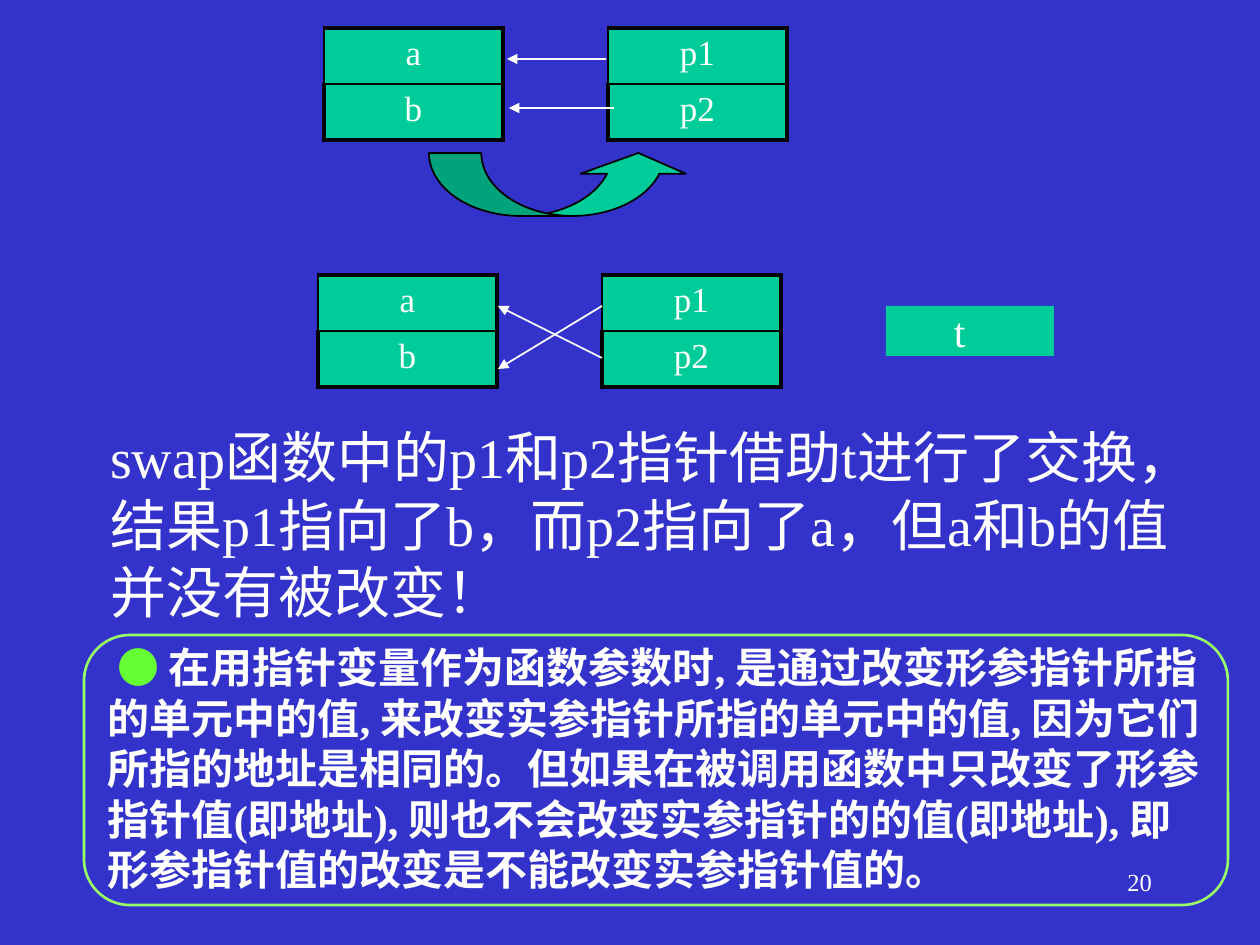
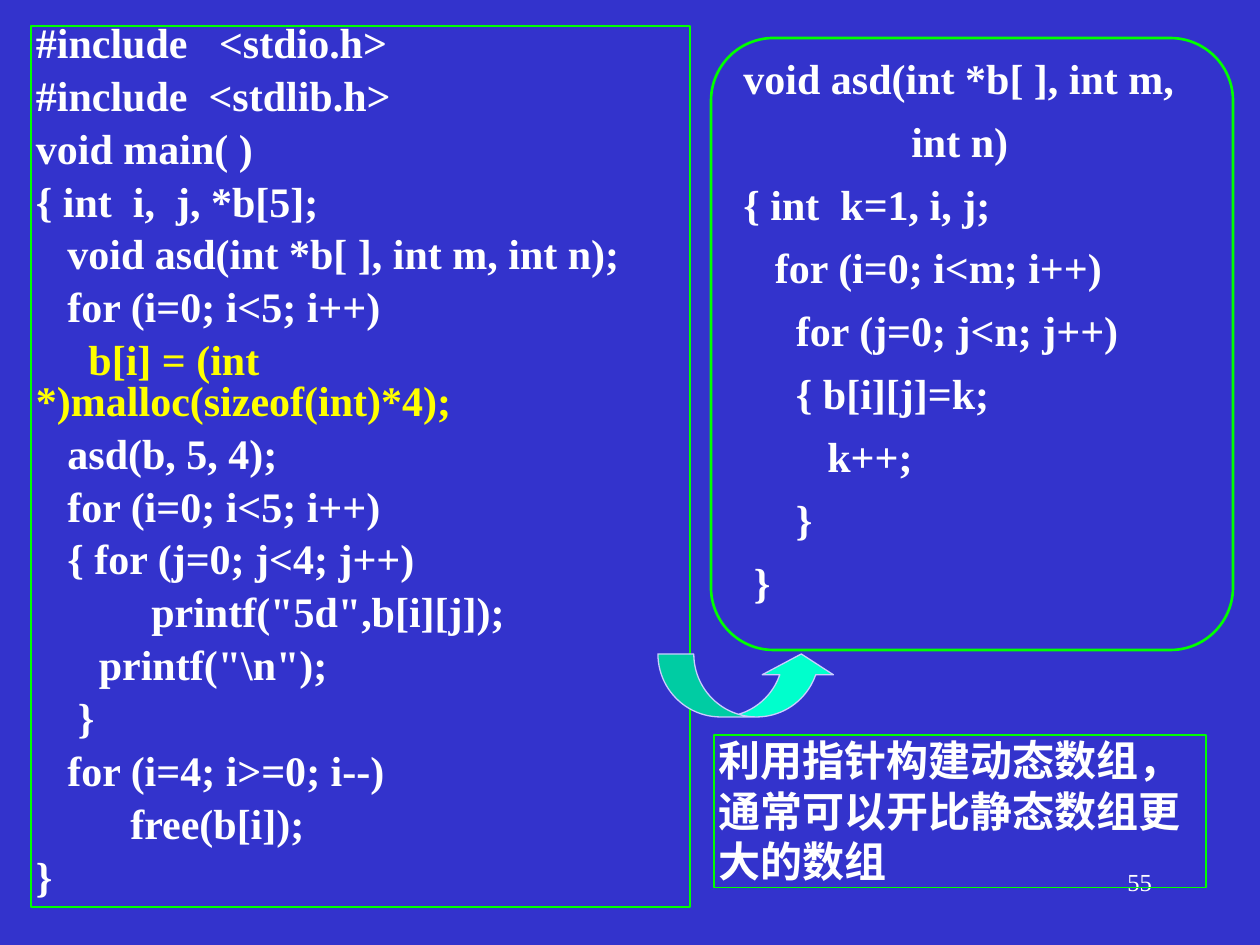
import lxml.etree
import pptx
import pptx.dml.color
import pptx.enum.shapes
import pptx.enum.text
import pptx.oxml.ns
import pptx.util

PX = 7257  # EMU in one px, 126 px to the inch
FONT = "Times New Roman"
WHITE, BLACK, YELLOW = "FFFFFF", "000000", "FFFF00"
BLUE, TEAL, GREEN = "3333CC", "00CC99", "00FF00"

Pt = pptx.util.Pt
hue = pptx.dml.color.RGBColor.from_string
qn = pptx.oxml.ns.qn
sub = lxml.etree.SubElement
kinds = pptx.enum.shapes.MSO_SHAPE
align = pptx.enum.text.PP_ALIGN


def draw(slide, kind, spot, fill=None, line=None, width=1, bends=()):
    """Add a preset shape, or a text box when kind is None."""
    spot = [n * PX for n in spot]
    if kind is None:
        return slide.shapes.add_textbox(*spot)
    shape = slide.shapes.add_shape(kind, *spot)
    shape.shadow.inherit = False
    for i, bend in enumerate(bends):
        shape.adjustments[i] = bend
    if fill:
        shape.fill.solid()
        shape.fill.fore_color.rgb = hue(fill)
    else:
        shape.fill.background()
    if line:
        shape.line.color.rgb = hue(line)
        shape.line.width = Pt(width)
    else:
        shape.line.fill.background()
    return shape


def write(frame, rows, size, bold=False, side=align.LEFT, pad=(5, 0),
          gap=0, pitch=None):
    """Fill a text frame; each row is a list of (text, colour, bold) runs or a string."""
    frame.word_wrap = True
    frame.vertical_anchor = pptx.enum.text.MSO_ANCHOR.TOP
    frame.margin_left = frame.margin_right = pad[0] * PX
    frame.margin_top = frame.margin_bottom = pad[1] * PX
    for i, row in enumerate(rows):
        para = frame.add_paragraph() if i else frame.paragraphs[0]
        para.alignment = side
        para.space_before = Pt(gap if i else 0)
        if pitch:
            para.line_spacing = pitch
        for text, tint, heavy in [(row, WHITE, bold)] if isinstance(row, str) else row:
            run = para.add_run()
            run.text = text
            run.font.name = FONT
            run.font.size = Pt(size)
            run.font.bold = heavy
            run.font.color.rgb = hue(tint)


deck = pptx.Presentation()
deck.slide_width, deck.slide_height = 1260 * PX, 945 * PX
back = deck.slide_master.background.fill
back.solid()
back.fore_color.rgb = hue(BLUE)

# Both slides, with their page numbers
swap, heap = [deck.slides.add_slide(deck.slide_layouts[6]) for _ in range(2)]
for slide, page in ((swap, "20"), (heap, "55")):
    label = draw(slide, None, (903, 861, 262, 63))
    write(label.text_frame, [page], 14, side=align.RIGHT, pad=(13, 6))

# Slide 1: variables and pointers, before and after the swap
thin, thick = 1, 2.25
edges = ({"lnL": thin, "lnR": thick, "lnT": thick, "lnB": thin},
         {"lnL": thick, "lnR": thick, "lnT": thin, "lnB": thick})
for left, top in ((324, 28), (318, 275)):
    for shift, names in ((0, ("a", "b")), (284, ("p1", "p2"))):
        spot = [n * PX for n in (left + shift, top, 179, 112)]
        table = swap.shapes.add_table(2, 1, *spot).table
        table.first_row = table.horz_banding = False
        for i, name in enumerate(names):
            cell = table.cell(i, 0)
            write(cell.text_frame, [name], 20, side=align.CENTER)
            cell.margin_left = cell.margin_right = 13 * PX
            cell.margin_top = cell.margin_bottom = 6 * PX
            props = cell._tc.get_or_add_tcPr()
            for tag, width in edges[i].items():
                edge = sub(props, qn("a:" + tag), w=str(Pt(width)))
                sub(sub(edge, qn("a:solidFill")), qn("a:srgbClr"), val=BLACK)
            cell.fill.solid()
            cell.fill.fore_color.rgb = hue(TEAL)

for ends in ((606, 59, 507, 59), (614, 108, 509, 108),
             (602, 306, 498, 369), (602, 358, 498, 306)):
    link = swap.shapes.add_connector(
        pptx.enum.shapes.MSO_CONNECTOR.STRAIGHT, *[n * PX for n in ends])
    link.line.color.rgb = hue(WHITE)
    link.line.width = Pt(1)
    props = link._element.spPr
    sub(props.find(qn("a:ln")), qn("a:tailEnd"), type="triangle")
    sub(props, qn("a:effectLst"))

draw(swap, kinds.CURVED_UP_ARROW, (429, 153, 262, 63), TEAL, BLACK, 1,
     (0.83, 1.67, 0.33))
temp = draw(swap, kinds.RECTANGLE, (886, 306, 168, 50), TEAL)
write(temp.text_frame, ["t"], 24)
temp.text_frame.margin_left = 68 * PX

result = draw(swap, None, (105, 423, 1081, 204))
write(result.text_frame, [
    "swap函数中的p1和p2指针借助t进行了交换，结果p1指向了b，"
    "而p2指向了a，但a和b的值并没有被改变！"], 32)

draw(swap, kinds.ROUNDED_RECTANGLE, (84, 635, 1144, 270), None, "99FF66", 1.5,
     (0.17,))
rule = draw(swap, None, (95, 636, 1124, 267))
write(rule.text_frame, [[
    (" ● ", "66FF33", False),
    ("在用指针变量作为函数参数时, 是通过改变形参指针所指的单元中的值, "
     "来改变实参指针所指的单元中的值, 因为它们所指的地址是相同的。"
     "但如果在被调用函数中只改变了形参指针值(即地址), "
     "则也不会改变实参指针的的值(即地址), "
     "即形参指针值的改变是不能改变实参指针值的。", WHITE, True)]],
    24, pad=(13, 6))

# Slide 2: main program, its function and a remark
MAIN = r"""#include   <stdio.h>
#include  <stdlib.h>
void main( )
{ int  i,  j, *b[5];
   void asd(int *b[ ], int m, int n);
   for (i=0; i<5; i++)
     b[i] = (int *)malloc(sizeof(int)*4);
   asd(b, 5, 4);
   for (i=0; i<5; i++)
   { for (j=0; j<4; j++)
           printf("5d",b[i][j]);
      printf("\n");
    }
   for (i=4; i>=0; i--)
         free(b[i]);
}"""
ASD = """   void asd(int *b[ ], int m,
                   int n)
   { int  k=1, i, j;
      for (i=0; i<m; i++)
        for (j=0; j<n; j++)
        { b[i][j]=k;
           k++;
        }
    }"""

draw(heap, kinds.ROUNDED_RECTANGLE, (711, 38, 522, 612), None, GREEN, 1.5,
     (0.12,))
func = draw(heap, None, (707, 53, 522, 580))
write(func.text_frame, ASD.splitlines(), 24, True, gap=7.2)

main = draw(heap, kinds.RECTANGLE, (31, 26, 659, 881), None, GREEN, 0.75)
rows = [[(row, YELLOW if "malloc" in row else WHITE, True)]
        for row in MAIN.splitlines()]
write(main.text_frame, rows, 24, gap=7.2, pitch=0.8)

draw(heap, kinds.CURVED_UP_ARROW, (658, 654, 179, 63), "00FFCC", "CCCCFF", 0.75,
     (0.57, 1.13, 0.33))
remark = draw(heap, kinds.RECTANGLE, (714, 735, 492, 153), None, GREEN, 0.75)
write(remark.text_frame,
      ["利用指针构建动态数组，通常可以开比静态数组更大的数组"], 24, True)

deck.save("out.pptx")
